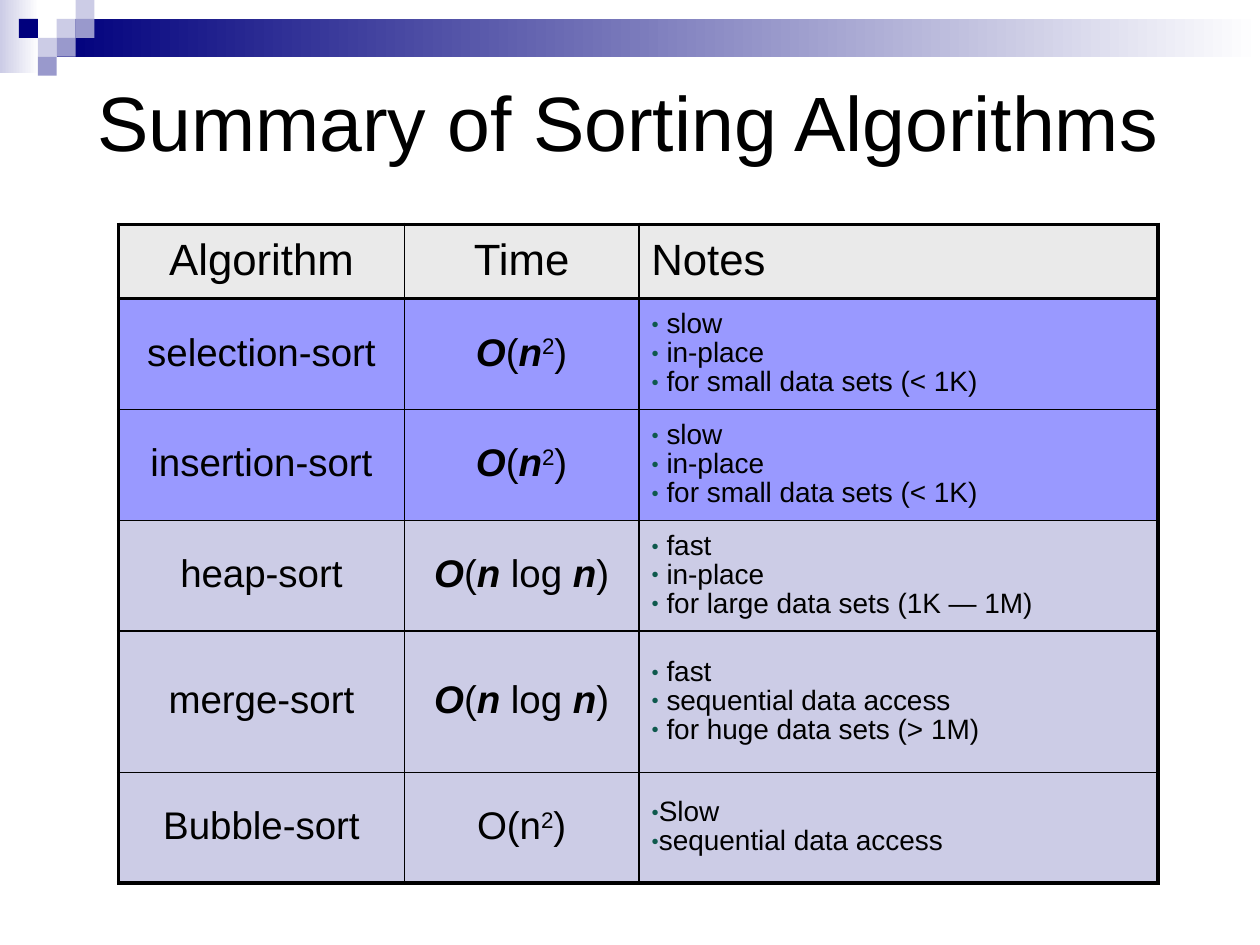
from dataclasses import dataclass

from lxml.etree import SubElement
from pptx import Presentation
from pptx.dml.color import RGBColor as RGB
from pptx.enum.shapes import MSO_SHAPE as SHAPE
from pptx.enum.text import MSO_ANCHOR as ANCHOR, MSO_AUTO_SIZE as AUTO, PP_ALIGN as ALIGN
from pptx.oxml import parse_xml
from pptx.oxml.ns import nsdecls, qn
from pptx.util import Emu, Pt


@dataclass(frozen=True)
class Theme:
    """Colours, type sizes and line widths of the slide."""
    font: str = "Arial"
    ink: str = "000000"
    paper: str = "FFFFFF"
    navy: str = "00007D"
    mid: str = "9999CC"
    pale: str = "CCCCE6"
    header: str = "EAEAEA"
    slow: str = "9999FF"
    bullet: str = "0E594D"
    title_pt: int = 44
    header_pt: int = 25
    body_pt: int = 22
    small_pt: int = 16
    thin_pt: float = 1
    thick_pt: float = 2.25
    leading: float = 0.93


T = Theme()
SQUARE = 15
SQUARES = [(3, 1, T.pale), (4, 0, T.pale), (4, 1, T.mid), (2, 2, T.pale),
           (1, 1, T.navy), (3, 2, T.mid), (2, 3, T.mid)]

COLS = [227, 186, 412]
ROWS = [59, 88, 88, 88, 112, 88]
HEADERS = ["Algorithm", "Time", "Notes"]
QUADRATIC = [("O", "bi"), ("(", ""), ("n", "bi"), ("2", "sup"), (")", "")]
LOG_LINEAR = [("O", "bi"), ("(", ""), ("n", "bi"), (" log ", ""), ("n", "bi"), (")", "")]
PLAIN_QUADRATIC = [("O(n", ""), ("2", "sup"), (")", "")]
SMALL_SETS = ["slow", "in-place", "for small data sets (< 1K)"]
SORTS = [
    ("selection-sort", QUADRATIC, SMALL_SETS, T.slow, 12),
    ("insertion-sort", QUADRATIC, SMALL_SETS, T.slow, 12),
    ("heap-sort", LOG_LINEAR, ["fast", "in-place", "for large data sets (1K — 1M)"], T.pale, 12),
    ("merge-sort", LOG_LINEAR,
     ["fast", "sequential data access", "for huge data sets (> 1M)"], T.pale, 12),
    ("Bubble-sort", PLAIN_QUADRATIC, ["Slow", "sequential data access"], T.pale, 6),
]


def px(n):
    """Turn px, 100 to the inch, into EMU."""
    return Emu(n * 9144)


def add_run(p, text, size, style=""):
    """Add one run; style is plain, bold italic or superscript."""
    r = p.add_run()
    r.text = text
    r.font.name, r.font.size = T.font, Pt(size)
    r.font.color.rgb = RGB.from_string(T.ink)
    if style == "bi":
        r.font.bold = r.font.italic = True
    elif style == "sup":
        r.font._element.set("baseline", "30000")


def add_rect(slide, x, y, w, h, *colours):
    """Add a rectangle with a solid fill, or a gradient from left to right."""
    s = slide.shapes.add_shape(SHAPE.RECTANGLE, px(x), px(y), px(w), px(h))
    s.shadow.inherit = False
    s.line.fill.background()
    if len(colours) == 1:
        s.fill.solid()
        s.fill.fore_color.rgb = RGB.from_string(colours[0])
        return
    s.fill.gradient()
    s.fill.gradient_angle = 0
    for stop, colour in zip(s.fill.gradient_stops, colours):
        stop.color.rgb = RGB.from_string(colour)


def add_banner(slide, x, y, w):
    """Place the fading bar and its chequered squares."""
    add_rect(slide, x, y, 31, 58, T.pale, T.paper)
    add_rect(slide, x + 45, y + 15, w - 45, 30, T.navy, T.paper)
    for col, row, colour in SQUARES:
        add_rect(slide, x + col * SQUARE, y + row * SQUARE, SQUARE, SQUARE, colour)


def add_title(slide, x, y, w, h):
    """Place and fill the title placeholder."""
    s = slide.shapes.title
    s.left, s.top, s.width, s.height = px(x), px(y), px(w), px(h)
    tf = s.text_frame
    tf.auto_size, tf.vertical_anchor = AUTO.NONE, ANCHOR.MIDDLE
    p = tf.paragraphs[0]
    p.alignment = ALIGN.LEFT
    add_run(p, "Summary of Sorting Algorithms", T.title_pt)


def add_bullet(p, indent):
    """Give a paragraph a small round bullet with a hanging indent."""
    pPr = p._p.get_or_add_pPr()
    pPr.set("marL", str(px(indent)))
    pPr.set("indent", str(-px(indent)))
    SubElement(SubElement(pPr, qn("a:buClr")), qn("a:srgbClr"), val=T.bullet)
    SubElement(pPr, qn("a:buSzPct"), val="45000")
    SubElement(pPr, qn("a:buFont"), typeface=T.font)
    SubElement(pPr, qn("a:buChar"), char="●")


def set_borders(cell, row, col):
    """Draw thick lines round the table and under its header, thin ones elsewhere."""
    thick = {"L": col == 0, "R": col == len(COLS) - 1,
             "T": row <= 1, "B": row in (0, len(ROWS) - 1)}
    tcPr = cell._tc.get_or_add_tcPr()
    for i, (side, heavy) in enumerate(thick.items()):
        width = Pt(T.thick_pt if heavy else T.thin_pt)
        tcPr.insert(i, parse_xml(
            f'<a:ln{side} {nsdecls("a")} w="{width}"><a:solidFill>'
            f'<a:srgbClr val="{T.ink}"/></a:solidFill></a:ln{side}>'))


def fill_cell(cell, paragraphs, size, colour, align, indent=0):
    """Fill a cell with paragraphs, each a list of (text, style) runs."""
    cell.fill.solid()
    cell.fill.fore_color.rgb = RGB.from_string(colour)
    cell.vertical_anchor = ANCHOR.MIDDLE
    tf = cell.text_frame
    for i, runs in enumerate(paragraphs):
        p = tf.add_paragraph() if i else tf.paragraphs[0]
        if indent:
            add_bullet(p, indent)
        p.alignment, p.line_spacing = align, T.leading
        for text, style in runs:
            add_run(p, text, size, style)


def add_sorts_table(slide, x, y):
    """Place the table that compares the sorts."""
    table = slide.shapes.add_table(len(ROWS), len(COLS), px(x), px(y),
                                   px(sum(COLS)), px(sum(ROWS))).table
    table.first_row = table.horz_banding = False
    for column, w in zip(table.columns, COLS):
        column.width = px(w)
    for row, h in zip(table.rows, ROWS):
        row.height = px(h)
    aligns = [ALIGN.CENTER, ALIGN.CENTER, ALIGN.LEFT]
    for c, (text, align) in enumerate(zip(HEADERS, aligns)):
        fill_cell(table.cell(0, c), [[(text, "")]], T.header_pt, T.header, align)
    for r, (name, time, traits, colour, indent) in enumerate(SORTS, 1):
        fill_cell(table.cell(r, 0), [[(name, "")]], T.body_pt, colour, ALIGN.CENTER)
        fill_cell(table.cell(r, 1), [time], T.body_pt, colour, ALIGN.CENTER)
        fill_cell(table.cell(r, 2), [[(trait, "")] for trait in traits],
                  T.small_pt, colour, ALIGN.LEFT, indent)
    for r in range(len(ROWS)):
        for c in range(len(COLS)):
            set_borders(table.cell(r, c), r, c)


def main():
    """Build and save the slide."""
    prs = Presentation()
    prs.slide_width, prs.slide_height = px(1000), px(750)
    slide = prs.slides.add_slide(prs.slide_layouts[5])
    add_banner(slide, 0, 0, 1000)
    add_title(slide, 67, 33, 883, 125)
    add_sorts_table(slide, 94, 178)
    prs.save("out.pptx")


if __name__ == "__main__":
    main()
